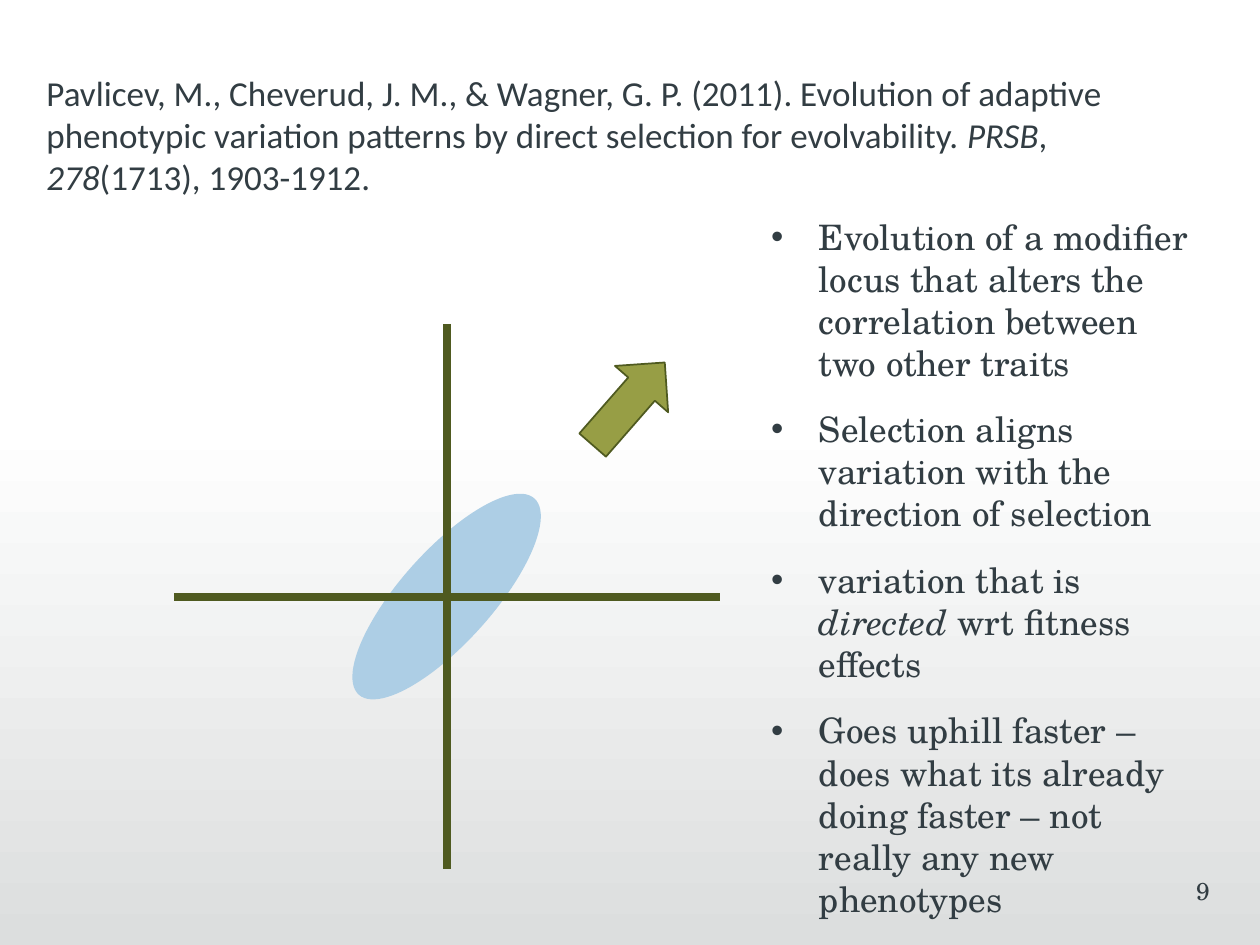
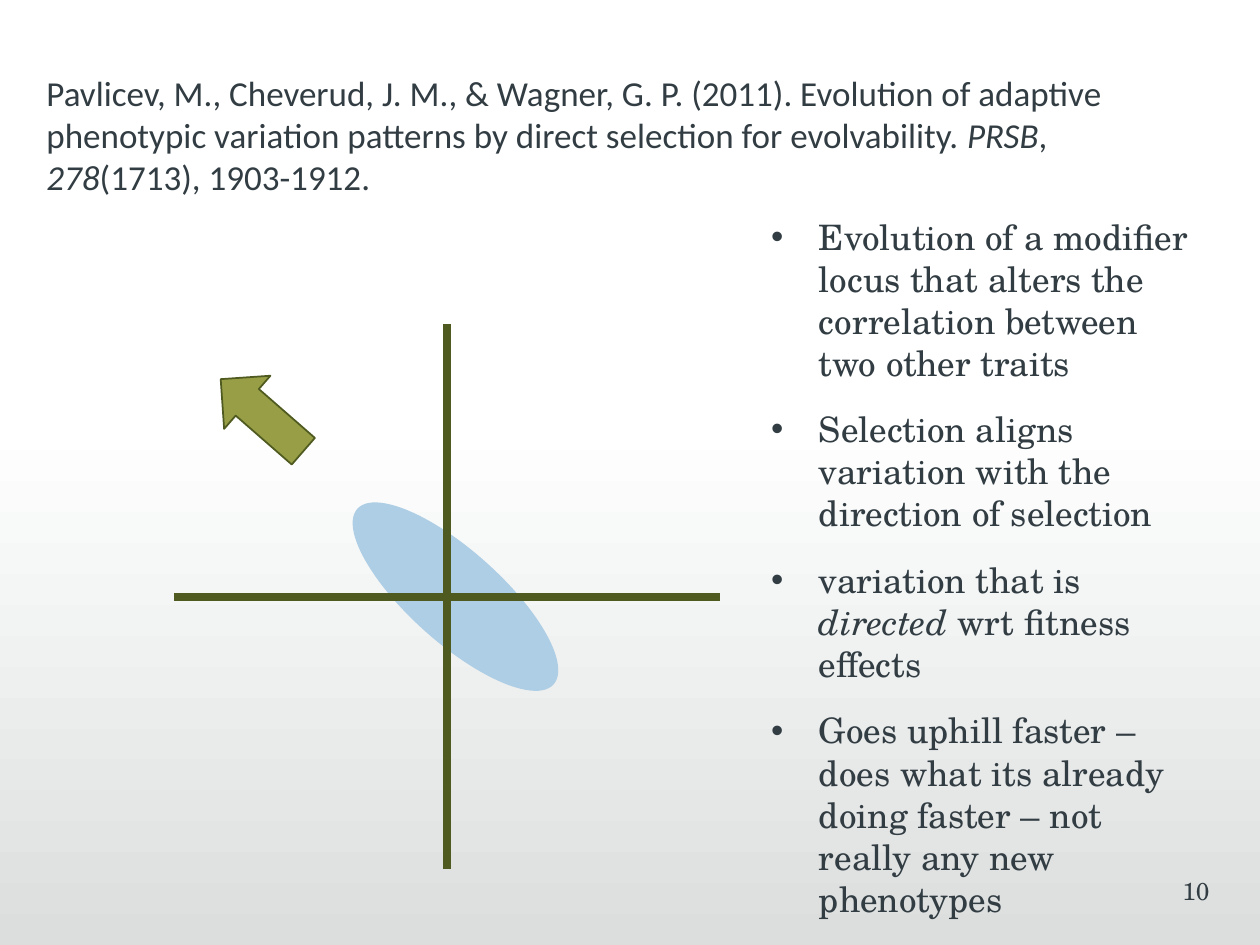
from lxml import etree
from pptx import Presentation
from pptx.dml.color import RGBColor
from pptx.enum.shapes import MSO_CONNECTOR, MSO_SHAPE
from pptx.enum.text import PP_ALIGN
from pptx.oxml.ns import qn
from pptx.util import Inches, Pt

LINE = MSO_CONNECTOR.STRAIGHT
RECT, OVAL, UP_ARROW = MSO_SHAPE.RECTANGLE, MSO_SHAPE.OVAL, MSO_SHAPE.UP_ARROW
LEFT, RIGHT = PP_ALIGN.LEFT, PP_ALIGN.RIGHT

COLORS = {
    "text": "323D43",
    "band_top": "FFFFFF",
    "band_bottom": "DCDEDE",
    "variation": "ADCEE5",
    "selection": "979E45",
    "axis": "4F5A20",
}
TITLE_FONT, BODY_FONT = "Calibri", "TeX Gyre Schola"

# Each paragraph is a list of (text, italic) runs.
CITATION = [
    ("Pavlicev, M., Cheverud, J. M., & Wagner, G. P. (2011). Evolution of adaptive "
     "phenotypic variation patterns by direct selection for evolvability. ", False),
    ("PRSB", True),
    (", ", False),
    ("278", True),
    ("(1713), 1903-1912.", False),
]
POINTS = [
    [("Evolution of a modifier locus that alters the correlation between "
      "two other traits", False)],
    [("Selection aligns variation with the direction of selection", False)],
    [("variation that is ", False), ("directed ", True), ("wrt fitness effects", False)],
    [("Goes uphill faster – does what its already doing faster – not really "
      "any new phenotypes", False)],
]

# Left and top of the ellipse and the arrow, with their rotations.
SLIDES = [
    {"number": 9, "variation": (3.18, 3.69, 41.8), "selection": (4.71, 2.77, 41.1)},
    {"number": 10, "variation": (3.25, 3.69, 311.8), "selection": (1.8, 2.86, 311.1)},
]
VARIATION_SIZE = (0.73, 2.09)
SELECTION_SIZE = (0.56, 0.87)
ORIGIN_X, ORIGIN_Y, AXIS_HALF = 3.55, 4.735, 2.165
BULLET_INDENT = 0.38


def rgb(name):
    return RGBColor.from_string(COLORS[name])


def add_text(slide, box, paragraphs, font, size, align=LEFT,
             insets=(0.1, 0.1), space_after=0, bullets=False):
    tf = slide.shapes.add_textbox(*map(Inches, box)).text_frame
    tf.word_wrap = True
    tf.margin_left, tf.margin_right = map(Inches, insets)
    tf.margin_top = tf.margin_bottom = Inches(0.05)
    for i, runs in enumerate(paragraphs):
        p = tf.paragraphs[0] if i == 0 else tf.add_paragraph()
        p.alignment = align
        p.space_after = Pt(space_after)
        if bullets:
            add_bullet(p)
        for text, italic in runs:
            r = p.add_run()
            r.text = text
            r.font.name, r.font.size, r.font.italic = font, Pt(size), italic
            r.font.color.rgb = rgb("text")


def add_bullet(p):
    pPr = p._p.get_or_add_pPr()
    pPr.set("marL", str(Inches(BULLET_INDENT)))
    pPr.set("indent", str(-Inches(BULLET_INDENT)))
    etree.SubElement(pPr, qn("a:buFont")).set("typeface", "Arial")
    etree.SubElement(pPr, qn("a:buChar")).set("char", "•")


def add_shape(slide, kind, place, size, fill, line=None):
    left, top, rotation = place
    sp = slide.shapes.add_shape(kind, *map(Inches, (left, top, *size)))
    sp.shadow.inherit = False
    sp.rotation = rotation
    sp.fill.solid()
    sp.fill.fore_color.rgb = rgb(fill)
    if line:
        sp.line.color.rgb = rgb(line)
        sp.line.width = Pt(1)
    else:
        sp.line.fill.background()
    return sp


def add_band(slide):
    sp = add_shape(slide, RECT, (0, 3.33, 0), (10, 4.17), "band_bottom")
    sp.fill.gradient()
    sp.fill.gradient_angle = 270
    for stop, name in zip(sp.fill.gradient_stops, ("band_top", "band_bottom")):
        stop.color.rgb = rgb(name)


def add_axes(slide):
    for dx, dy in ((0, AXIS_HALF), (AXIS_HALF, 0)):
        ends = (ORIGIN_X - dx, ORIGIN_Y - dy, ORIGIN_X + dx, ORIGIN_Y + dy)
        axis = slide.shapes.add_connector(LINE, *map(Inches, ends))
        axis.line.color.rgb = rgb("axis")
        axis.line.width = Pt(4.5)
        etree.SubElement(axis._element.spPr, qn("a:effectLst"))


def build_slide(prs, content):
    slide = prs.slides.add_slide(prs.slide_layouts[6])
    add_band(slide)
    add_text(slide, (6.12, 1.66, 3.46, 4.5), POINTS, BODY_FONT, 20,
             insets=(0, 0.1), space_after=14, bullets=True)
    add_text(slide, (7.52, 6.9, 2.08, 0.5), [[(str(content["number"]), False)]],
             BODY_FONT, 14, align=RIGHT, insets=(0.1, 0))
    add_shape(slide, OVAL, content["variation"], VARIATION_SIZE, "variation")
    add_axes(slide)
    add_shape(slide, UP_ARROW, content["selection"], SELECTION_SIZE, "selection", "axis")
    add_text(slide, (0.27, 0.52, 9.43, 1.11), [CITATION], TITLE_FONT, 20)


def main():
    prs = Presentation()
    prs.slide_width, prs.slide_height = Inches(10), Inches(7.5)
    for content in SLIDES:
        build_slide(prs, content)
    prs.save("out.pptx")


if __name__ == "__main__":
    main()
